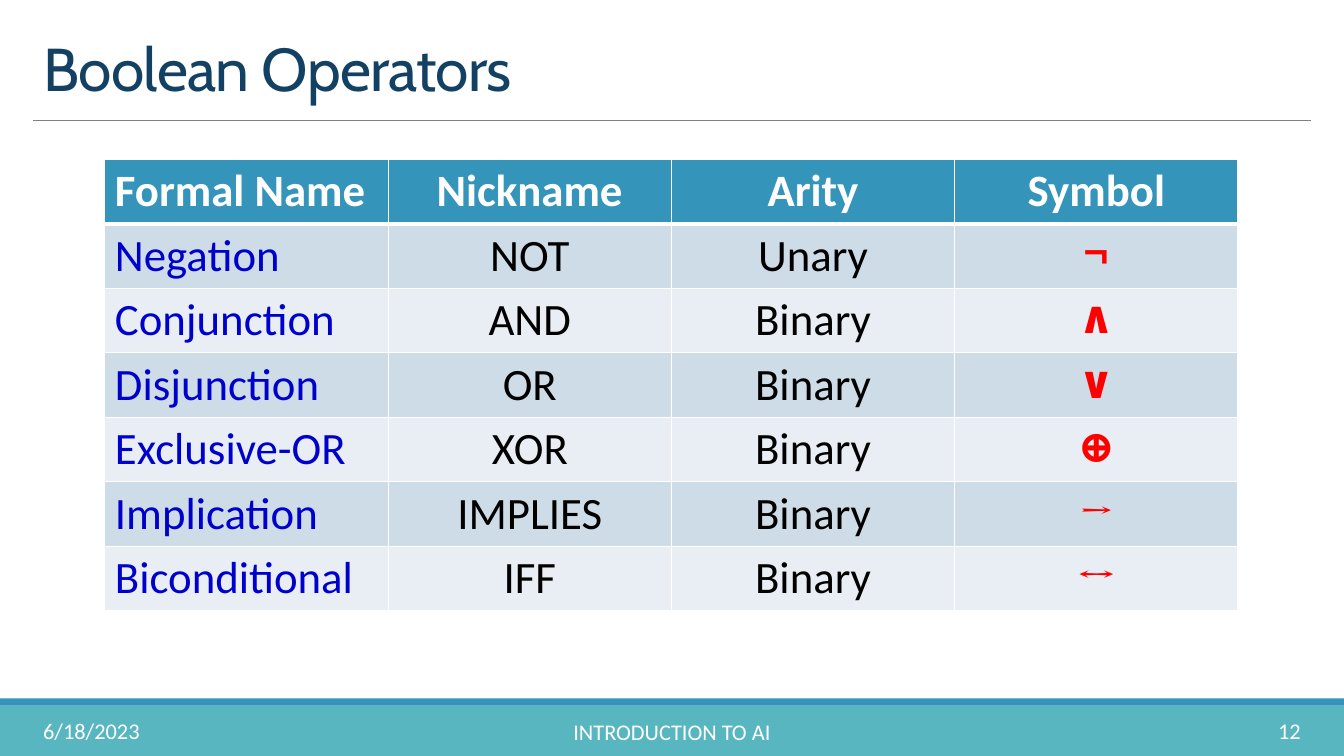
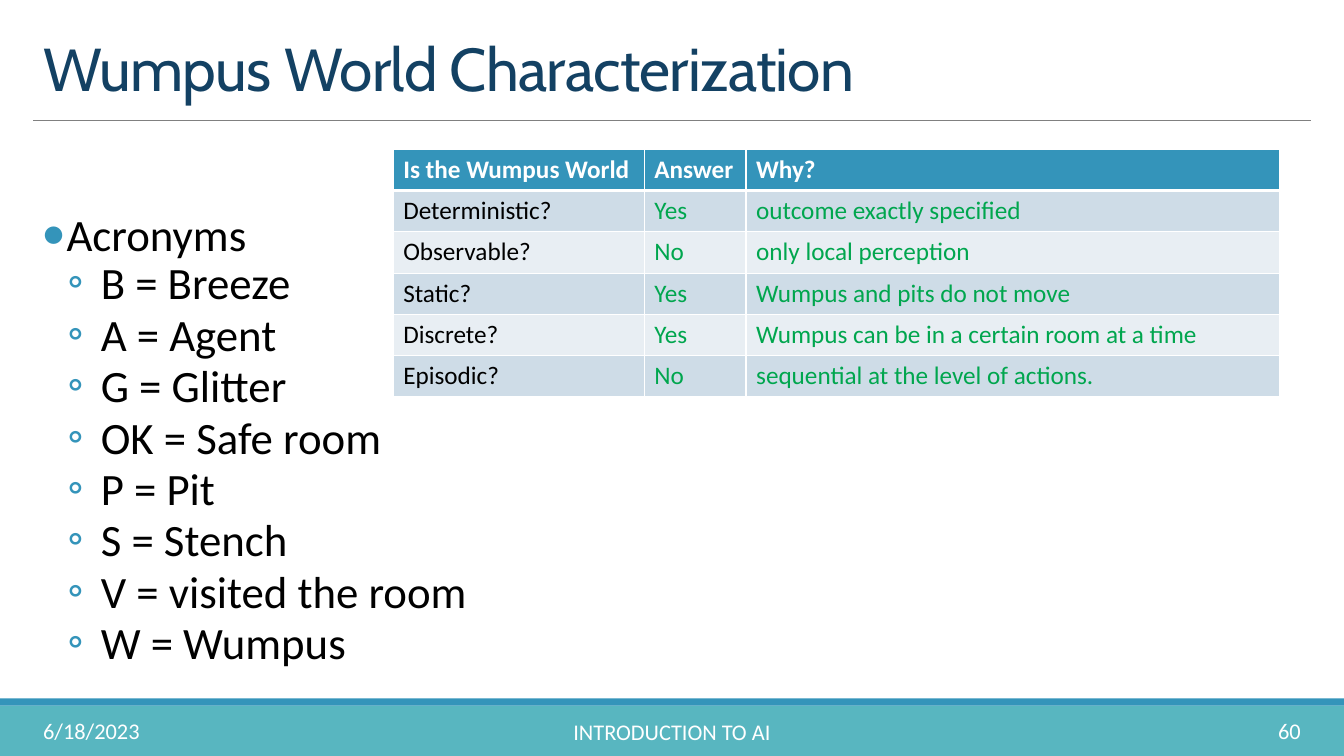
from pptx import Presentation
from pptx.dml.color import RGBColor
from pptx.enum.shapes import MSO_CONNECTOR as Connector, MSO_SHAPE as Shape
from pptx.enum.text import MSO_ANCHOR as Anchor, MSO_AUTO_SIZE as AutoSize, PP_ALIGN as Align
from pptx.oxml.ns import qn
from pptx.util import Inches, Pt
from lxml.etree import SubElement, fromstring

WHITE, BLACK, BLUE = "FFFFFF", "000000", "3494BA"
TEAL, NAVY, GRAY = "58B6C0", "134163", "808080"
LINK_BLUE, RED, GREEN = "0000CC", "FF0000", "00A64E"
ROW_FILLS = ("CEDCE7", "E8EEF3")
NAMESPACE = "http://schemas.openxmlformats.org/drawingml/2006/main"

BANDS = [(7, 0.5, TEAL), (6.93, 0.07, BLUE)]
DATE = "6/18/2023"
FOOTER = "INTRODUCTION TO AI"

OPERATORS = {
    "box": (1.04, 1.58),
    "widths": [2.81] * 4,
    "row_height": 0.64,
    "size": 32,
    "aligns": [Align.LEFT] + [Align.CENTER] * 3,
    "formats": [
        {"color": LINK_BLUE}, {}, {},
        {"color": RED, "name": "Cambria", "bold": True},
    ],
    "rows": [
        ("Formal Name", "Nickname", "Arity", "Symbol"),
        ("Negation", "NOT", "Unary", "¬"),
        ("Conjunction", "AND", "Binary", "∧"),
        ("Disjunction", "OR", "Binary", "∨"),
        ("Exclusive-OR", "XOR", "Binary", "⊕"),
        ("Implication", "IMPLIES", "Binary", "→"),
        ("Biconditional", "IFF", "Binary", "↔"),
    ],
}
CHARACTERIZATION = {
    "box": (3.9, 1.48),
    "widths": [2.49, 1.01, 5.29],
    "row_height": 0.41,
    "size": 18,
    "aligns": [Align.LEFT] * 3,
    "formats": [{}, {"color": GREEN}, {"color": GREEN}],
    "rows": [
        ("Is the Wumpus World", "Answer", "Why?"),
        ("Deterministic?", "Yes", "outcome exactly specified"),
        ("Observable?", "No", "only local perception"),
        ("Static?", "Yes", "Wumpus and pits do not move"),
        ("Discrete?", "Yes", "Wumpus can be in a certain room at a time"),
        ("Episodic?", "No", "sequential at the level of actions."),
    ],
}
ACRONYMS = [
    (0, "Acronyms"),
    (1, "B = Breeze"),
    (1, "A = Agent"),
    (1, "G = Glitter"),
    (1, "OK = Safe room"),
    (1, "P = Pit"),
    (1, "S = Stench"),
    (1, "V = visited the room"),
    (1, "W = Wumpus"),
]
LEVELS = [
    {"bullet": "•", "scale": 110, "margin": 0.33, "indent": -0.25, "before": 0, "after": 2},
    {"bullet": "◦", "scale": 100, "margin": 0.67, "indent": -0.33, "before": 2, "after": 4},
]


def rgb(value):
    return RGBColor.from_string(value)


def format_font(font, **values):
    for name, value in ({"name": "Calibri", "bold": False, "color": BLACK} | values).items():
        if name == "color":
            font.color.rgb = rgb(value)
        else:
            setattr(font, name, value)


def place(shape, left, top, width, height):
    for name, value in zip(("left", "top", "width", "height"), (left, top, width, height)):
        setattr(shape, name, Inches(value))


def add_footer_text(slide, box, text, align):
    frame = slide.shapes.add_textbox(*map(Inches, box)).text_frame
    frame.word_wrap = True
    frame.vertical_anchor = Anchor.MIDDLE
    paragraph = frame.paragraphs[0]
    paragraph.text = text
    paragraph.alignment = align
    format_font(paragraph.runs[0].font, size=Pt(16), color=WHITE)


def add_slide(presentation, layout, title, number):
    slide = presentation.slides.add_slide(presentation.slide_layouts[layout])
    for top, height, color in BANDS:
        band = slide.shapes.add_shape(
            Shape.RECTANGLE, 0, Inches(top), presentation.slide_width, Inches(height))
        band.shadow.inherit = False
        band.fill.solid()
        band.fill.fore_color.rgb = rgb(color)
        band.line.fill.background()
    rule = slide.shapes.add_connector(
        Connector.STRAIGHT, Inches(0.33), Inches(1.19), Inches(13), Inches(1.19))
    rule.line.color.rgb = rgb(GRAY)
    rule.line.width = Pt(0.5)
    SubElement(rule._element.spPr, qn("a:effectLst"))

    place(slide.shapes.title, 0.33, 0.31, 12.67, 0.77)
    frame = slide.shapes.title.text_frame
    frame.text = title
    frame.auto_size = AutoSize.NONE
    frame.vertical_anchor = Anchor.BOTTOM
    paragraph = frame.paragraphs[0]
    paragraph.alignment = Align.LEFT
    paragraph.line_spacing = 0.85
    font = paragraph.runs[0].font
    format_font(font, name="Cabin", size=Pt(43.2), color=NAVY)
    font._element.set("spc", "-50")

    add_footer_text(slide, (0.33, 7.05, 2.7, 0.4), DATE, Align.LEFT)
    add_footer_text(slide, (4.03, 7.06, 5.27, 0.4), FOOTER, Align.CENTER)
    add_footer_text(slide, (11.57, 7.05, 1.43, 0.4), str(number), Align.RIGHT)
    return slide


def set_borders(cell, row_index):
    widths = {
        "lnL": 1,
        "lnR": 1,
        "lnT": 3 if row_index == 1 else 1,
        "lnB": 3 if row_index == 0 else 1,
    }
    properties = cell._tc.get_or_add_tcPr()
    for position, (tag, width) in enumerate(widths.items()):
        properties.insert(position, fromstring(
            f'<a:{tag} xmlns:a="{NAMESPACE}" w="{Pt(width)}">'
            f'<a:solidFill><a:srgbClr val="{WHITE}"/></a:solidFill></a:{tag}>'))


def add_table(slide, data):
    rows, widths, row_height = data["rows"], data["widths"], data["row_height"]
    box = (*data["box"], sum(widths), row_height * len(rows))
    table = slide.shapes.add_table(len(rows), len(widths), *map(Inches, box)).table
    for column, width in zip(table.columns, widths):
        column.width = Inches(width)
    for row_index, texts in enumerate(rows):
        table.rows[row_index].height = Inches(row_height)
        for column_index, text in enumerate(texts):
            header = row_index == 0
            cell = table.cell(row_index, column_index)
            cell.fill.solid()
            cell.fill.fore_color.rgb = rgb(BLUE if header else ROW_FILLS[(row_index - 1) % 2])
            set_borders(cell, row_index)
            paragraph = cell.text_frame.paragraphs[0]
            paragraph.text = text
            paragraph.alignment = data["aligns"][column_index]
            values = {"color": WHITE, "bold": True} if header else data["formats"][column_index]
            format_font(paragraph.runs[0].font, size=Pt(data["size"]), **values)


def set_bullet(paragraph, level):
    properties = paragraph._p.get_or_add_pPr()
    properties.set("marL", str(Inches(level["margin"])))
    properties.set("indent", str(Inches(level["indent"])))
    color = SubElement(properties, qn("a:buClr"))
    SubElement(color, qn("a:srgbClr"), val=BLUE)
    SubElement(properties, qn("a:buSzPct"), val=str(level["scale"] * 1000))
    SubElement(properties, qn("a:buFont"), typeface="Calibri")
    SubElement(properties, qn("a:buChar"), char=level["bullet"])


def fill_list(body, items):
    place(body, 0.33, 2.1, 12.67, 4.73)
    frame = body.text_frame
    frame.auto_size = AutoSize.NONE
    frame.margin_left = frame.margin_right = 0
    for index, (depth, text) in enumerate(items):
        paragraph = frame.add_paragraph() if index else frame.paragraphs[0]
        level = LEVELS[depth]
        paragraph.text = text
        paragraph.level = depth
        set_bullet(paragraph, level)
        paragraph.line_spacing = 0.8
        paragraph.space_before = Pt(level["before"])
        paragraph.space_after = Pt(level["after"])
        format_font(paragraph.runs[0].font, size=Pt(32))


def main():
    presentation = Presentation()
    presentation.slide_width = Inches(13.33)
    presentation.slide_height = Inches(7.5)

    slide = add_slide(presentation, 5, "Boolean Operators", 12)
    add_table(slide, OPERATORS)

    slide = add_slide(presentation, 1, "Wumpus World Characterization", 60)
    fill_list(slide.placeholders[1], ACRONYMS)
    add_table(slide, CHARACTERIZATION)

    presentation.save("out.pptx")


if __name__ == "__main__":
    main()
